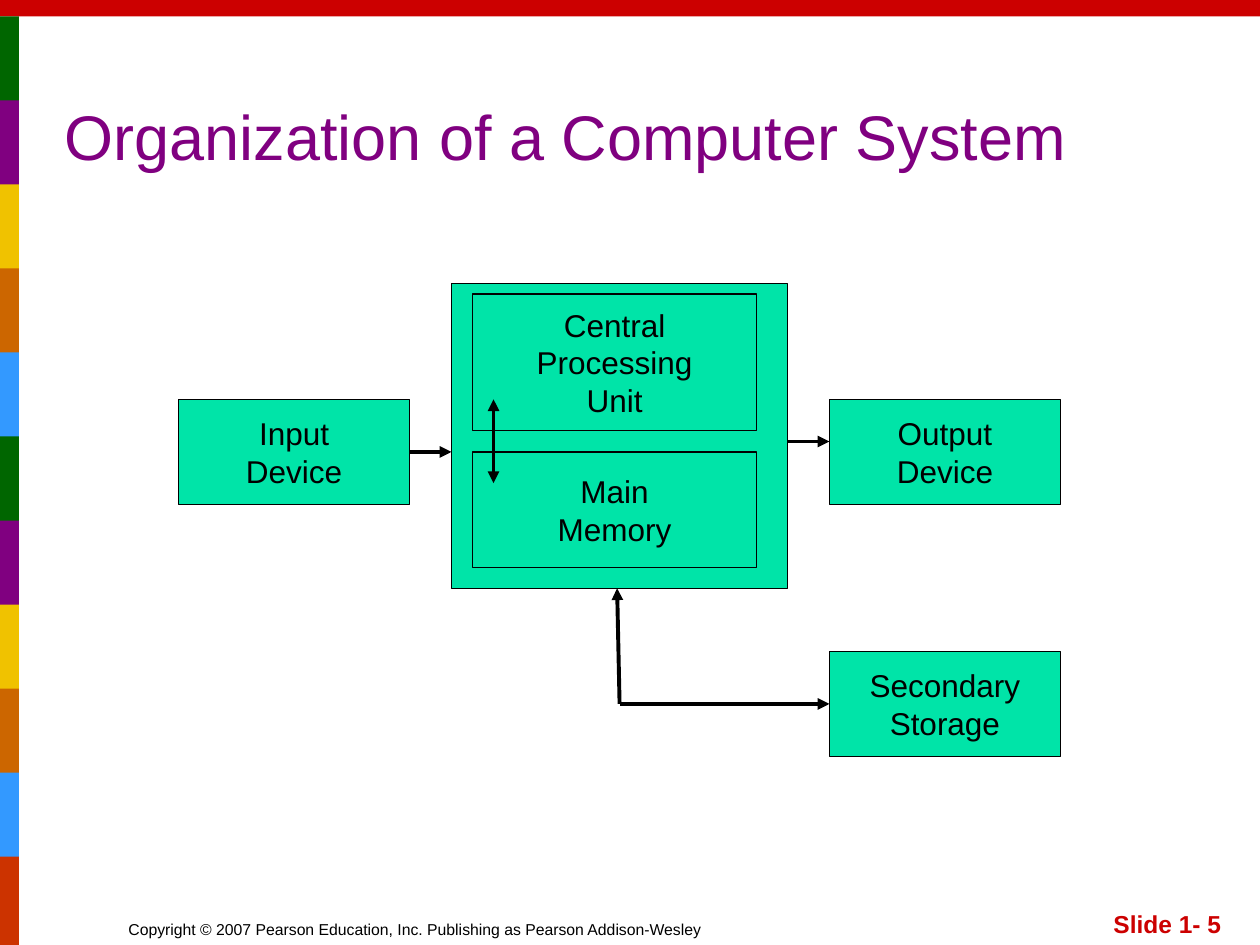
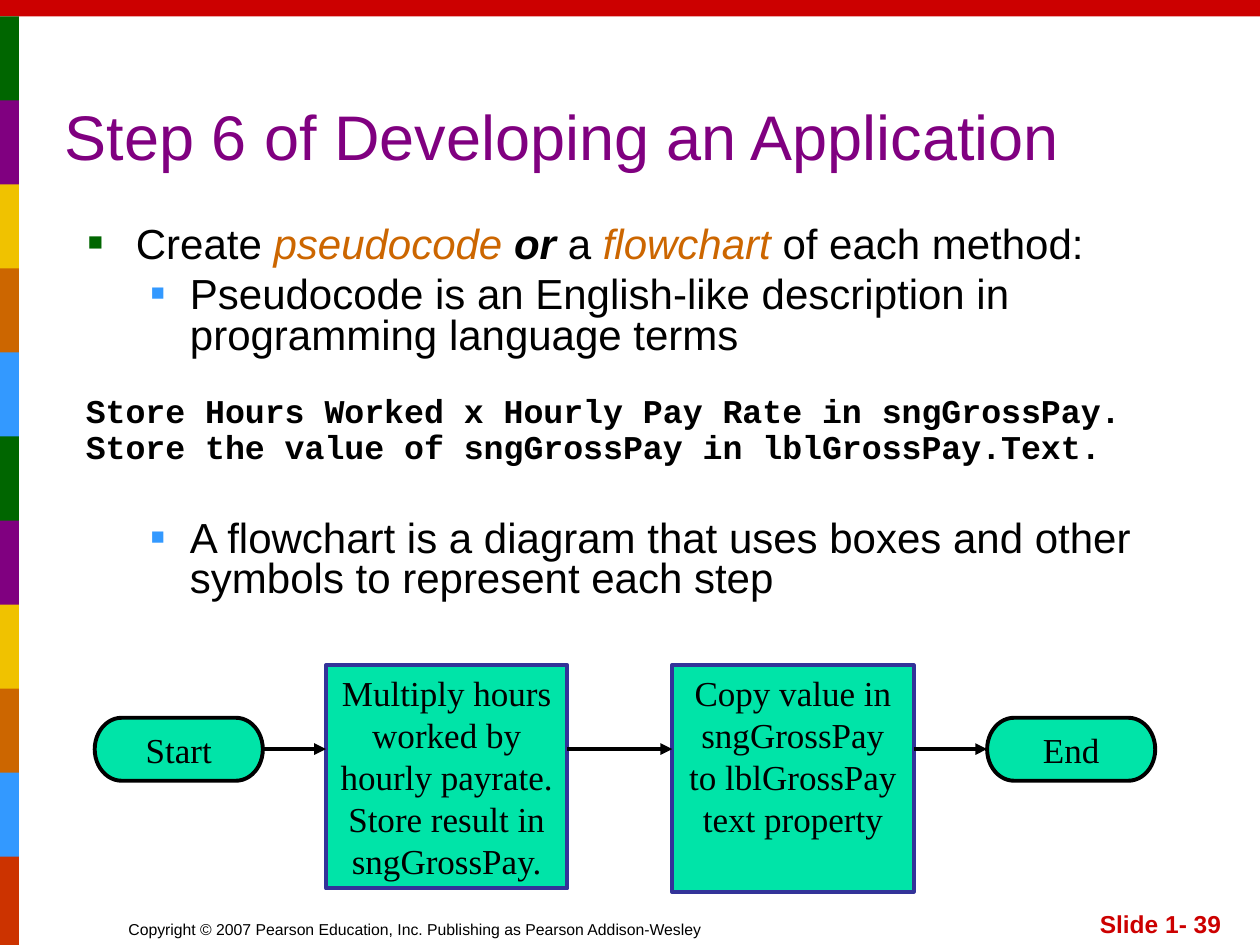
from itertools import pairwise

from lxml.etree import SubElement
from pptx import Presentation
from pptx.dml.color import RGBColor
from pptx.enum.shapes import MSO_CONNECTOR as Link, MSO_SHAPE as Preset
from pptx.enum.text import MSO_ANCHOR as Anchor, PP_ALIGN as Align
from pptx.oxml.ns import qn
from pptx.util import Cm, Pt

BLACK = RGBColor(0x00, 0x00, 0x00)
RED = RGBColor(0xCC, 0x00, 0x00)
RUST = RGBColor(0xCC, 0x33, 0x00)
GREEN = RGBColor(0x00, 0x66, 0x00)
PURPLE = RGBColor(0x80, 0x00, 0x80)
YELLOW = RGBColor(0xF0, 0xC2, 0x00)
ORANGE = RGBColor(0xCC, 0x66, 0x00)
BLUE = RGBColor(0x33, 0x99, 0xFF)
NAVY = RGBColor(0x33, 0x33, 0x99)
MINT = RGBColor(0x00, 0xE4, 0xA8)

SLIDE_WIDTH, SLIDE_HEIGHT = 25.4, 19.05
BAND_HEIGHT = 0.33
STRIPE_WIDTH, STRIPE_HEIGHT = 0.38, 1.78
STRIPES = [GREEN, PURPLE, YELLOW, ORANGE, BLUE] * 2 + [RUST]
COPYRIGHT = ("Copyright © 2007 Pearson Education, Inc. "
             "Publishing as Pearson Addison-Wesley")


def format_run(run, size, color=BLACK, font="Arial", bold=False, italic=False):
    run.font.size = Pt(size)
    run.font.color.rgb = color
    run.font.name = font
    run.font.bold = bold
    run.font.italic = italic


def write(frame, text, size, align=Align.LEFT, anchor=Anchor.TOP, wrap=True, **style):
    frame.word_wrap = wrap
    frame.vertical_anchor = anchor
    frame.text = text
    for paragraph in frame.paragraphs:
        paragraph.alignment = align
        for run in paragraph.runs:
            format_run(run, size, **style)


def add_text(slide, box, text, size, **style):
    frame = slide.shapes.add_textbox(*map(Cm, box)).text_frame
    write(frame, text, size, **style)
    return frame


def add_block(slide, box, fill, preset=Preset.RECTANGLE, line=None, weight=0.75):
    block = slide.shapes.add_shape(preset, *map(Cm, box))
    block.shadow.inherit = False
    block.fill.solid()
    block.fill.fore_color.rgb = fill
    if line is None:
        block.line.fill.background()
    else:
        block.line.color.rgb = line
        block.line.width = Pt(weight)
    return block


def add_arrow(slide, start, end, both_ends=False):
    arrow = slide.shapes.add_connector(Link.STRAIGHT, *map(Cm, (*start, *end)))
    arrow.line.color.rgb = BLACK
    arrow.line.width = Pt(2.25)
    properties = arrow.element.spPr
    outline = properties.find(qn("a:ln"))
    for tip in ["a:headEnd", "a:tailEnd"] if both_ends else ["a:tailEnd"]:
        SubElement(outline, qn(tip), type="triangle")
    SubElement(properties, qn("a:effectLst"))


def add_frame(slide, title, number):
    add_text(slide, (2.34, 17.78, 12.5, 1.27), COPYRIGHT, 9, anchor=Anchor.BOTTOM)
    add_block(slide, (0, 0, SLIDE_WIDTH, BAND_HEIGHT), RED)
    pitch = (SLIDE_HEIGHT - STRIPE_HEIGHT - BAND_HEIGHT) / (len(STRIPES) - 1)
    for row, color in enumerate(STRIPES):
        add_block(slide, (0, BAND_HEIGHT + row * pitch, STRIPE_WIDTH, STRIPE_HEIGHT), color)
    add_text(slide, (19.58, 17.78, 5.29, 1.27), f"Slide 1- {number}", 14,
             align=Align.RIGHT, anchor=Anchor.BOTTOM, color=RED, bold=True)
    add_text(slide, (1.06, 0.85, 21.5, 2.76), title, 36,
             anchor=Anchor.BOTTOM, color=PURPLE)


def add_computer_diagram(slide, left, top):
    device_width, device_height = 4.66, 2.12
    system_x, output_x = 5.5, 13.12
    system_width, system_height = 6.77, 6.14
    storage_y = 7.41
    units = [
        ("", system_x, 0, system_width, system_height),
        ("Central\nProcessing\nUnit", 5.93, 0.21, 5.72, 2.75),
        ("Main\nMemory", 5.93, 3.39, 5.72, 2.33),
        ("Input\nDevice", 0, 2.33, device_width, device_height),
        ("Output\nDevice", output_x, 2.33, device_width, device_height),
        ("Secondary\nStorage", output_x, storage_y, device_width, device_height),
    ]
    for label, x, y, width, height in units:
        unit = add_block(slide, (left + x, top + y, width, height), MINT, line=BLACK)
        if label:
            write(unit.text_frame, label, 18, align=Align.CENTER,
                  anchor=Anchor.MIDDLE, wrap=False)

    corner = (8.89, storage_y + device_height / 2)
    flows = [
        ((device_width, 3.39), (system_x, 3.39), False),
        ((system_x + system_width, 3.18), (output_x, 3.18), False),
        (corner, (8.84, system_height), False),
        ((6.35, 4.02), (6.35, 2.33), True),
        (corner, (output_x, corner[1]), False),
    ]
    for (x1, y1), (x2, y2), both_ends in flows:
        add_arrow(slide, (left + x1, top + y1), (left + x2, top + y2), both_ends)


def add_bullet(paragraph, color, percent, margin, hanging):
    properties = paragraph._p.get_or_add_pPr()
    properties.set("marL", str(Cm(margin)))
    properties.set("indent", str(-Cm(hanging)))
    bullet_color = SubElement(properties, qn("a:buClr"))
    SubElement(bullet_color, qn("a:srgbClr"), val=str(color))
    SubElement(properties, qn("a:buSzPct"), val=str(percent * 1000))
    SubElement(properties, qn("a:buFont"), typeface="Arial")
    SubElement(properties, qn("a:buChar"), char="■")


def add_method_notes(slide, left, top, width, height):
    frame = slide.shapes.add_textbox(*map(Cm, (left, top, width, height))).text_frame
    frame.word_wrap = True
    frame.margin_right = 0
    term = {"color": ORANGE, "italic": True}
    top_level = (GREEN, 60, 0.97, 0.97)
    sub_level = (BLUE, 55, 2.06, 0.79)
    notes = [
        (top_level, 0, [("Create ", {}), ("pseudocode ", term),
                        ("or ", {"bold": True, "italic": True}), ("a ", {}),
                        ("flowchart", term), (" of each method:", {})]),
        (sub_level, 6, [("Pseudocode is an English-like description in "
                         "programming language terms", {})]),
        (sub_level, 93, [("A flowchart is a diagram that uses boxes and other "
                          "symbols to represent each step", {})]),
    ]
    for index, (level, gap, pieces) in enumerate(notes):
        paragraph = frame.add_paragraph() if index else frame.paragraphs[0]
        add_bullet(paragraph, *level)
        paragraph.line_spacing = 0.8
        paragraph.space_before = Pt(gap)
        for text, style in pieces:
            run = paragraph.add_run()
            run.text = text
            format_run(run, 24, **style)


def add_pseudocode(slide, left, top, width, height):
    code = add_text(slide, (left, top, width, height),
                    "Store Hours Worked x Hourly Pay Rate in sngGrossPay.\v"
                    "Store the value of sngGrossPay in lblGrossPay.Text.",
                    19, font="Courier New", bold=True)
    code.paragraphs[0].line_spacing = 0.9


def add_flowchart(slide, left, top):
    axis = 1.69
    terminal = (Preset.FLOWCHART_TERMINATOR, BLACK, Anchor.MIDDLE)
    process = (Preset.RECTANGLE, NAVY, Anchor.TOP)
    steps = [
        ("Start", terminal, 0, axis - 0.63, 3.39, 1.27),
        ("Multiply hours worked by hourly payrate. Store result in sngGrossPay.",
         process, 4.66, 0, 4.87, 4.5),
        ("Copy value in sngGrossPay to lblGrossPay text property",
         process, 11.64, 0, 4.87, 4.57),
        ("End", terminal, 17.99, axis - 0.63, 3.39, 1.27),
    ]
    for label, (preset, line, anchor), x, y, width, height in steps:
        step = add_block(slide, (left + x, top + y, width, height), MINT,
                         preset, line, 2.25)
        write(step.text_frame, label, 20, align=Align.CENTER, anchor=anchor,
              font="Times New Roman")
    for (_, _, x, _, width, _), (_, _, next_x, *_) in pairwise(steps):
        add_arrow(slide, (left + x + width, top + axis), (left + next_x, top + axis))


def main():
    deck = Presentation()
    deck.slide_width, deck.slide_height = Cm(SLIDE_WIDTH), Cm(SLIDE_HEIGHT)
    blank = deck.slide_layouts[6]

    organization = deck.slides.add_slide(blank)
    add_frame(organization, "Organization of a Computer System", 5)
    add_computer_diagram(organization, 3.6, 5.72)

    development = deck.slides.add_slide(blank)
    add_frame(development, "Step 6 of Developing an Application", 39)
    add_method_notes(development, 1.52, 4.45, 23.04, 8.2)
    add_pseudocode(development, 1.48, 7.83, 22.66, 1.9)
    add_flowchart(development, 1.91, 13.41)

    deck.save("out.pptx")


if __name__ == "__main__":
    main()
